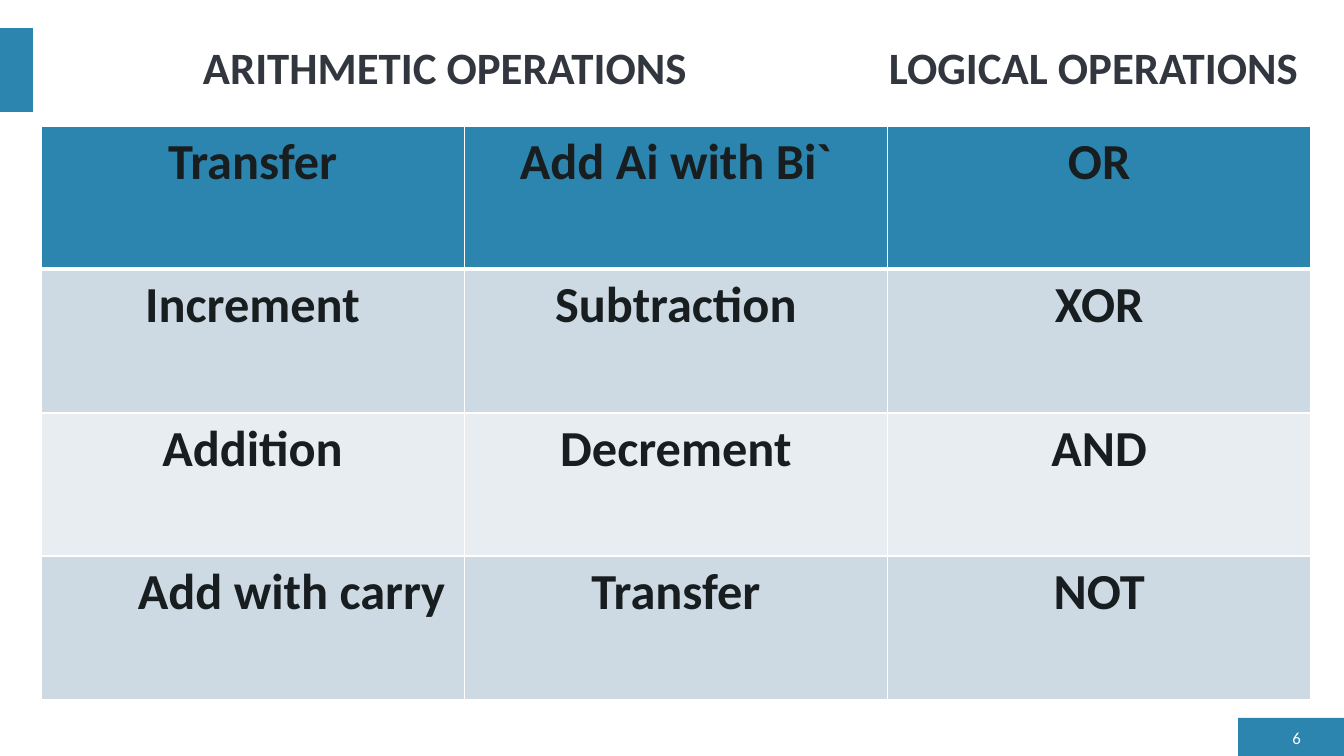
from dataclasses import dataclass

from lxml.etree import SubElement as Sub
from pptx import Presentation
from pptx.dml.color import RGBColor as Rgb
from pptx.enum.shapes import MSO_SHAPE as Form
from pptx.enum.text import MSO_ANCHOR as Anchor, MSO_AUTO_SIZE as Fit, PP_ALIGN as Align
from pptx.oxml.ns import qn
from pptx.util import Pt

SCALE = 914400 / 100.8


@dataclass(frozen=True)
class Theme:
    font: str = "Calibri"
    accent: str = "2C85AE"
    dark: str = "32363F"
    ink: str = "181E20"
    white: str = "FFFFFF"
    bands: tuple = ("CDD9E3", "E8EDF2")
    head: int = 32
    body: int = 36
    small: int = 12


def px(num):
    return round(num * SCALE)


def apply(item, form):
    for name, value in form.items():
        setattr(item, name, value)


class Deck:
    def __init__(self, theme):
        self.theme = theme
        self.prs = Presentation()
        apply(self.prs, {"slide_width": px(1344), "slide_height": px(756)})
        self.slide = self.prs.slides.add_slide(self.prs.slide_layouts[5])

    def words(self, frame, text, size, color, align, bold=False):
        frame.text = text
        para = frame.paragraphs[0]
        para.alignment = align
        font = para.runs[0].font
        apply(font, {"name": self.theme.font, "size": Pt(size), "bold": bold})
        font.color.rgb = Rgb.from_string(color)
        return para

    def frame(self, shape, left=0):
        frame = shape.text_frame
        apply(frame, {
            "margin_left": px(left), "margin_right": 0,
            "margin_top": 0, "margin_bottom": 0,
            "word_wrap": True, "auto_size": Fit.NONE,
            "vertical_anchor": Anchor.MIDDLE,
        })
        return frame

    def bar(self, *box):
        shape = self.slide.shapes.add_shape(Form.RECTANGLE, *map(px, box))
        shape.shadow.inherit = False
        shape.fill.solid()
        shape.fill.fore_color.rgb = Rgb.from_string(self.theme.accent)
        shape.line.fill.background()

    def title(self, box, parts, inset, stop):
        shape = self.slide.shapes.title
        apply(shape, dict(zip(("left", "top", "width", "height"), map(px, box))))
        para = self.words(self.frame(shape, inset), "\t".join(parts),
                          self.theme.head, self.theme.dark, Align.LEFT, True)
        para.line_spacing = 0.9
        tabs = Sub(para._p.get_or_add_pPr(), qn("a:tabLst"))
        Sub(tabs, qn("a:tab"), pos=str(px(stop)), algn="l")

    def label(self, box, text):
        shape = self.slide.shapes.add_textbox(*map(px, box))
        self.words(self.frame(shape), text, self.theme.small, self.theme.white, Align.RIGHT)

    def border(self, cell, row):
        props = cell._tc.get_or_add_tcPr()
        sides = {"L": 1, "R": 1, "T": 3 if row == 1 else 1, "B": 3 if row == 0 else 1}
        for side, width in sides.items():
            line = Sub(props, qn(f"a:ln{side}"), w=str(Pt(width)))
            fill = Sub(line, qn("a:solidFill"))
            Sub(fill, qn("a:srgbClr"), val=self.theme.white)

    def table(self, box, rows, highs, shifts):
        table = self.slide.shapes.add_table(len(rows), len(rows[0]), *map(px, box)).table
        for row, (texts, high) in enumerate(zip(rows, highs)):
            table.rows[row].height = px(high)
            fill = self.theme.bands[(row - 1) % 2] if row else self.theme.accent
            for col, text in enumerate(texts):
                cell = table.cell(row, col)
                cell.margin_left = px(10 + shifts.get(text, 0))
                self.border(cell, row)
                cell.fill.solid()
                cell.fill.fore_color.rgb = Rgb.from_string(fill)
                self.words(cell.text_frame, text, self.theme.body,
                           self.theme.ink, Align.CENTER, True)


def main():
    deck = Deck(Theme())
    deck.bar(1238, 718, 106, 38)
    deck.bar(0, 28, 33, 84)
    deck.title((41, 28, 1270, 84), ("ARITHMETIC OPERATIONS", "LOGICAL OPERATIONS"), 162, 686)
    deck.label((1270, 726, 31, 23), "6")
    rows = (
        ("Transfer", "Add Ai with Bi`", "OR"),
        ("Increment", "Subtraction", "XOR"),
        ("Addition", "Decrement", "AND"),
        ("Add with carry", "Transfer", "NOT"),
    )
    deck.table((41, 126, 1270, 574), rows, (143, 144, 143, 144), {"Add with carry": 78})
    deck.prs.save("out.pptx")


if __name__ == "__main__":
    main()
